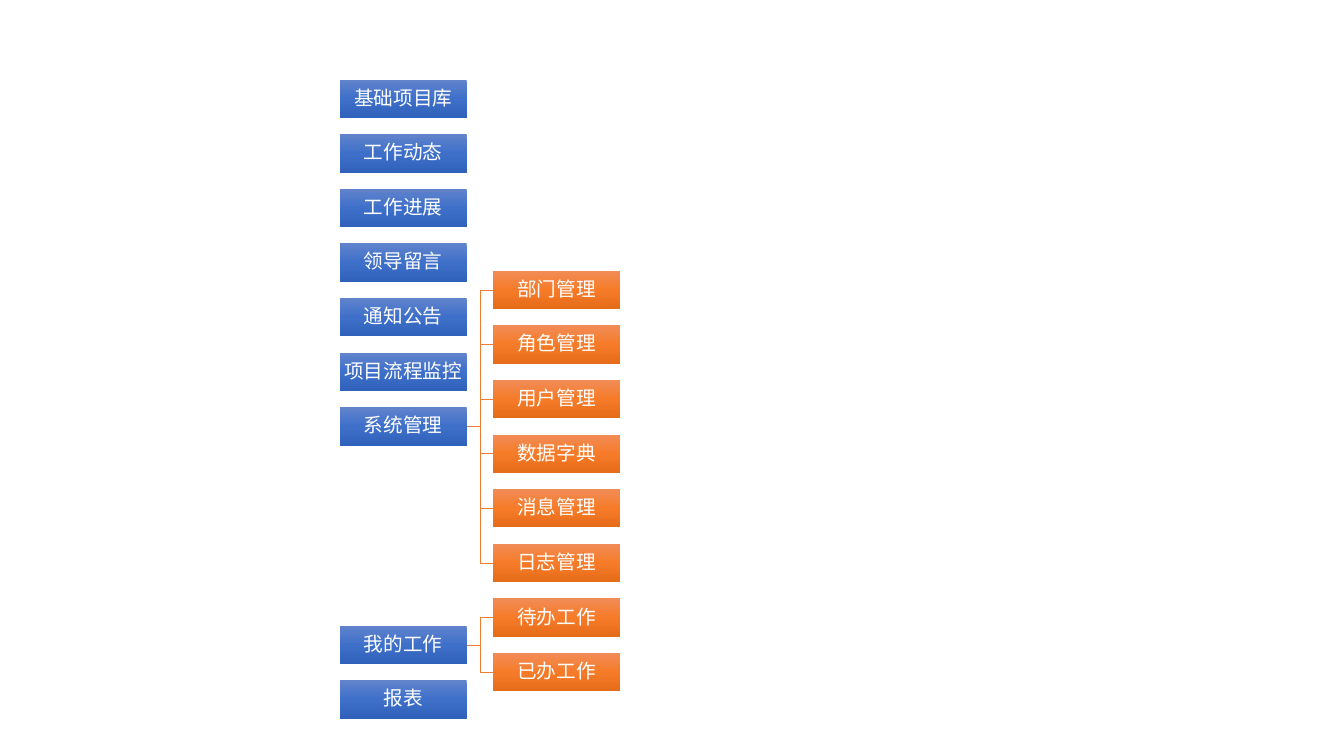
import copy

import pptx
import pptx.dml.color
import pptx.enum.shapes
import pptx.enum.text
import pptx.oxml
import pptx.oxml.ns
import pptx.util

Inches = pptx.util.Inches

COLOURS = {
    "module": ("6183CB", "3E70CA", "3062BB"),
    "submodule": ("F18C57", "F67B28", "E56C19"),
    "branch": "ED7D31",
    "label": "FFFFFF",
}
FONT = "Noto Sans CJK SC"
MODULE_LEFT, SUBMODULE_LEFT = 3.37, 4.89
BOX_WIDTH, BOX_HEIGHT = 1.26, 0.38
FIRST_TOP, LAST_TOP, LAST_ROW = 0.79, 6.75, 11
ROW_PITCH = (LAST_TOP - FIRST_TOP) / LAST_ROW

# Each module: label, row, submodules
MODULES = [
    ("基础项目库", 0, []),
    ("工作动态", 1, []),
    ("工作进展", 2, []),
    ("领导留言", 3, []),
    ("通知公告", 4, []),
    ("项目流程监控", 5, []),
    ("系统管理", 6, ["部门管理", "角色管理", "用户管理",
                 "数据字典", "消息管理", "日志管理"]),
    ("我的工作", 10, ["待办工作", "已办工作"]),
    ("报表", LAST_ROW, []),
]


def rgb(value):
    """Turn a hex string into a colour."""
    return pptx.dml.color.RGBColor.from_string(value)


def row_top(row):
    """Return the top of a row in inches."""
    return FIRST_TOP + row * ROW_PITCH


def submodule_rows(module_row, count):
    """Return rows for submodules centred on their module."""
    return [module_row + i - (count - 1) / 2 for i in range(count)]


def fill_gradient(shape, shades):
    """Fill a shape from top to bottom with three shades."""
    shape.fill.gradient()
    shape.fill.gradient_angle = 270
    first_stop = shape._element.spPr.find(".//" + pptx.oxml.ns.qn("a:gs"))
    first_stop.addnext(copy.deepcopy(first_stop))
    for stop, shade, position in zip(shape.fill.gradient_stops, shades, (0, 0.5, 1)):
        stop.color.rgb = rgb(shade)
        stop.position = position


def add_box(slide, label, left, row, level):
    """Add one labelled box of the tree."""
    box = slide.shapes.add_shape(
        pptx.enum.shapes.MSO_SHAPE.RECTANGLE, Inches(left), Inches(row_top(row)),
        Inches(BOX_WIDTH), Inches(BOX_HEIGHT))
    box.shadow.inherit = False
    box.line.fill.background()
    fill_gradient(box, COLOURS[level])

    frame = box.text_frame
    frame.word_wrap = True
    frame.vertical_anchor = pptx.enum.text.MSO_ANCHOR.MIDDLE
    frame.margin_left = frame.margin_right = Inches(0.01)
    frame.margin_top = frame.margin_bottom = Inches(0.01)
    paragraph = frame.paragraphs[0]
    paragraph.alignment = pptx.enum.text.PP_ALIGN.CENTER
    paragraph.line_spacing = 0.9
    run = paragraph.add_run()
    run.text = label
    run.font.size = pptx.util.Pt(14)
    run.font.name = FONT
    run.font.color.rgb = rgb(COLOURS["label"])
    east_asian = pptx.oxml.parse_xml(
        f'<a:ea {pptx.oxml.ns.nsdecls("a")} typeface="{FONT}"/>')
    run.font._element.find(pptx.oxml.ns.qn("a:latin")).addnext(east_asian)


def add_branch(slide, module_row, submodule_row):
    """Add the elbow line from a module to a submodule."""
    start = Inches(MODULE_LEFT + BOX_WIDTH)
    end = Inches(SUBMODULE_LEFT)
    bend = (start + end) // 2
    module_y, submodule_y = (
        Inches(row_top(row) + BOX_HEIGHT / 2) for row in (module_row, submodule_row))
    outline = slide.shapes.build_freeform(start, module_y)
    outline.add_line_segments(
        [(bend, module_y), (bend, submodule_y), (end, submodule_y)], close=False)
    branch = outline.convert_to_shape()
    branch.shadow.inherit = False
    branch.fill.background()
    branch.line.color.rgb = rgb(COLOURS["branch"])
    branch.line.width = pptx.util.Pt(0.5)


def main():
    """Build the module tree slide."""
    deck = pptx.Presentation()
    deck.slide_width, deck.slide_height = Inches(13.33), Inches(7.5)
    slide = deck.slides.add_slide(deck.slide_layouts[6])

    for _, module_row, submodules in MODULES:
        for row in submodule_rows(module_row, len(submodules)):
            add_branch(slide, module_row, row)
    for module, module_row, submodules in MODULES:
        add_box(slide, module, MODULE_LEFT, module_row, "module")
        rows = submodule_rows(module_row, len(submodules))
        for submodule, row in zip(submodules, rows):
            add_box(slide, submodule, SUBMODULE_LEFT, row, "submodule")

    deck.save("out.pptx")


main()
